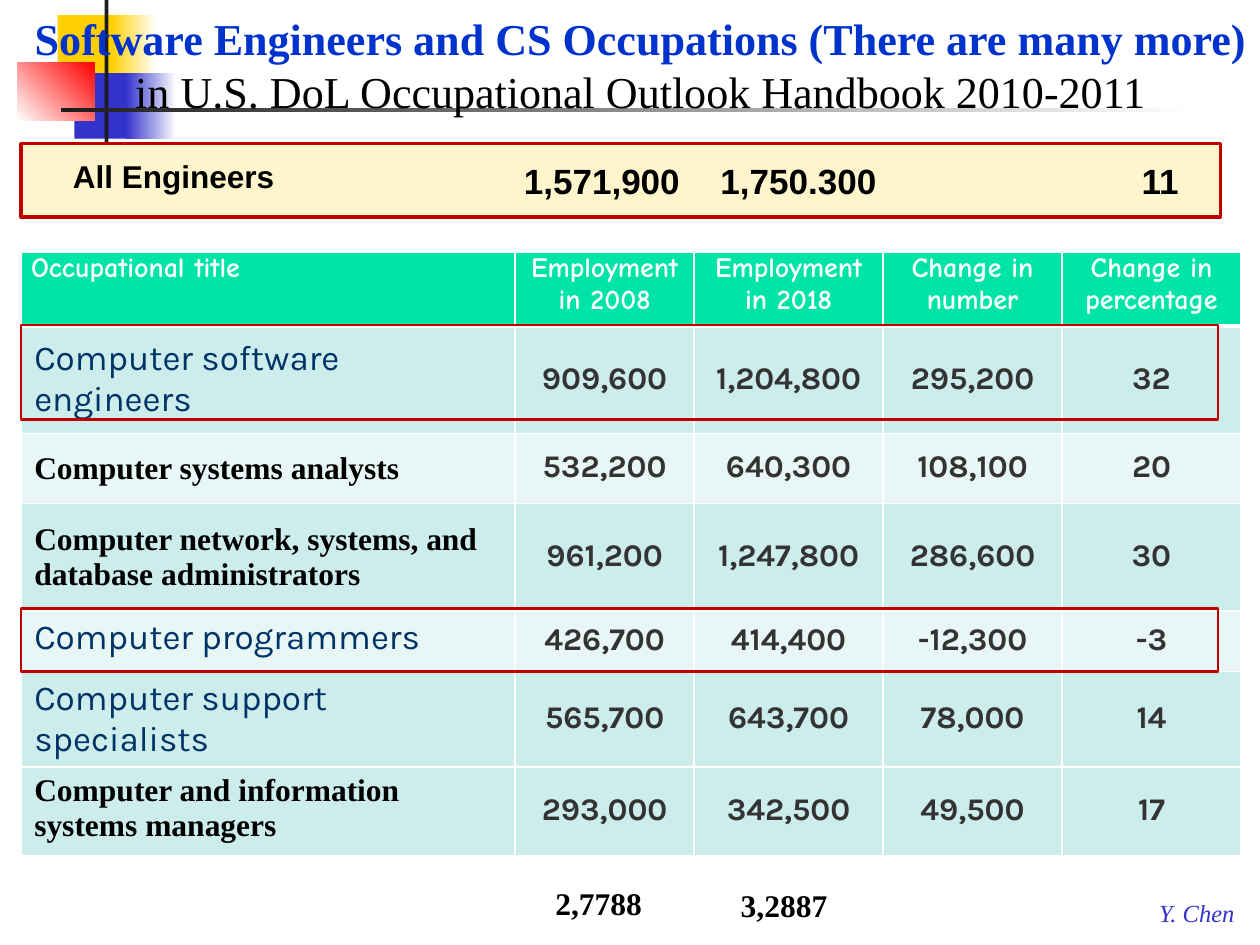
from copy import deepcopy

from lxml import etree
from pptx import Presentation
from pptx.dml.color import RGBColor
from pptx.enum.shapes import MSO_SHAPE
from pptx.enum.text import MSO_ANCHOR, PP_ALIGN
from pptx.oxml.ns import qn
from pptx.util import Pt

RECTANGLE = MSO_SHAPE.RECTANGLE
TOP, MIDDLE, BOTTOM = MSO_ANCHOR.TOP, MSO_ANCHOR.MIDDLE, MSO_ANCHOR.BOTTOM
LEFT, CENTER = PP_ALIGN.LEFT, PP_ALIGN.CENTER

SERIF, SANS, KARLA, COMIC = "Times New Roman", "Arial", "Karla", "Comic Neue"
YELLOW, BLUE, RED, DARK = "FFCF01", "3333CC", "FF0000", "1C1C1C"
WHITE, BLACK, FRAME_RED = "FFFFFF", "000000", "C00000"
HEADER_GREEN, BAND_DARK, BAND_LIGHT = "00E4A8", "CDECEC", "E8F6F6"

SERIF_TITLE = (SERIF, 18, BLACK, True)
KARLA_TITLE = (KARLA, 20, "003366", False)
NUMBER = (KARLA, 18, "333333", True)
HEADER = (COMIC, 16, WHITE, True)

COLUMN_WIDTHS = [282, 102.25, 108, 102.25, 102.25]
HEADINGS = ["Occupational title", "Employment in 2008", "Employment in 2018",
            "Change in number", "Change in percentage"]
HEADING_HEIGHT = 42.4
OCCUPATIONS = [
    (61.2, KARLA_TITLE, MIDDLE,
     ["Computer software engineers", "909,600", "1,204,800", "295,200", "32"]),
    (40.3, SERIF_TITLE, MIDDLE,
     ["Computer systems analysts", "532,200", "640,300", "108,100", "20"]),
    (61.2, SERIF_TITLE, MIDDLE,
     ["Computer network, systems, and database administrators",
      "961,200", "1,247,800", "286,600", "30"]),
    (34.6, KARLA_TITLE, TOP,
     ["Computer programmers", "426,700", "414,400", "-12,300", "-3"]),
    (54.7, KARLA_TITLE, MIDDLE,
     ["Computer support specialists", "565,700", "643,700", "78,000", "14"]),
    (50.4, SERIF_TITLE, TOP,
     ["Computer and information systems managers",
      "293,000", "342,500", "49,500", "17"]),
]


def color(value):
    """Turn a hex string into a colour."""
    return RGBColor.from_string(value)


def add_run(paragraph, text, style, italic=False):
    """Append a run in the given (font, size, colour, bold) style."""
    name, size, value, bold = style
    run = paragraph.add_run()
    run.text = text
    run.font.name, run.font.size = name, Pt(size)
    run.font.bold, run.font.italic = bold, italic
    run.font.color.rgb = color(value)
    return run


def add_rectangle(slide, box, fill=None, fade_to=None, angle=0, line_width=None):
    """Add a rectangle with a plain, fading or empty fill and an optional frame."""
    shape = slide.shapes.add_shape(RECTANGLE, *map(Pt, box))
    shape.shadow.inherit = False
    if fade_to:
        shape.fill.gradient()
        shape.fill.gradient_angle = angle
        for stop, value in zip(shape.fill.gradient_stops, (fill, fade_to)):
            stop.color.rgb = color(value)
    elif fill:
        shape.fill.solid()
        shape.fill.fore_color.rgb = color(fill)
    else:
        shape.fill.background()
    if line_width:
        shape.line.color.rgb = color(FRAME_RED)
        shape.line.width = Pt(line_width)
    else:
        shape.line.fill.background()


def add_text(slide, box, text, style, italic=False, wrap=True, tabs=()):
    """Add a one-line text box with optional left tab stops."""
    frame = slide.shapes.add_textbox(*map(Pt, box)).text_frame
    frame.word_wrap = wrap
    paragraph = frame.paragraphs[0]
    add_run(paragraph, text, style, italic)
    if tabs:
        properties = paragraph._p.get_or_add_pPr()
        tab_list = etree.SubElement(properties, qn("a:tabLst"))
        for position in tabs:
            etree.SubElement(tab_list, qn("a:tab"), pos=str(Pt(position)), algn="l")


def add_decoration(slide):
    """Draw the coloured blocks and the crossing rules behind the title."""
    add_rectangle(slide, (33, 8.6, 34.5, 37.4), YELLOW)
    add_rectangle(slide, (63.4, 8.6, 26, 37.4), YELLOW, WHITE)
    add_rectangle(slide, (42.5, 41.8, 33, 37.4), BLUE)
    add_rectangle(slide, (72, 41.8, 28.8, 37.4), BLUE, WHITE)
    add_rectangle(slide, (10, 36, 44, 33), WHITE, RED, angle=45)
    add_rectangle(slide, (59.8, 0, 2.2, 82.8), DARK)
    add_rectangle(slide, (34.6, 62, 648, 2.2), DARK, WHITE)


def format_title(slide):
    """Place the two-line title in front of the decoration."""
    title = slide.shapes.title
    slide.shapes.element.append(title.element)
    title.left, title.top, title.width, title.height = map(Pt, (12.2, 10.8, 707.8, 59.8))
    frame = title.text_frame
    frame.word_wrap = True
    frame.vertical_anchor = BOTTOM
    frame.margin_left = frame.margin_right = Pt(0)
    paragraph = frame.paragraphs[0]
    paragraph.alignment = CENTER
    run = add_run(paragraph, "Software Engineers and CS Occupations (There are many more)",
                  (SERIF, 25.2, "0033CC", True))
    line_break = etree.SubElement(paragraph._p, qn("a:br"))
    line_break.append(deepcopy(run._r.rPr))
    add_run(paragraph, "in U.S. DoL Occupational Outlook Handbook 2010-2011",
            (SERIF, 25.2, BLACK, False))


def set_borders(cell, top, bottom):
    """Give a cell white borders with the given top and bottom widths."""
    properties = cell._tc.get_or_add_tcPr()
    for side, width in (("L", 1), ("R", 1), ("T", top), ("B", bottom)):
        line = etree.SubElement(properties, qn(f"a:ln{side}"), w=str(Pt(width)))
        fill = etree.SubElement(line, qn("a:solidFill"))
        etree.SubElement(fill, qn("a:srgbClr"), val=WHITE)


def fill_cell(cell, text, style, fill, margins, alignment, anchor, borders):
    """Write and format one table cell."""
    set_borders(cell, *borders)
    cell.fill.solid()
    cell.fill.fore_color.rgb = color(fill)
    cell.margin_left, cell.margin_top, cell.margin_right, cell.margin_bottom = map(Pt, margins)
    cell.vertical_anchor = anchor
    paragraph = cell.text_frame.paragraphs[0]
    paragraph.alignment = alignment
    add_run(paragraph, text, style)


def add_occupation_table(slide):
    """Add the employment table."""
    heights = [HEADING_HEIGHT] + [occupation[0] for occupation in OCCUPATIONS]
    table = slide.shapes.add_table(
        len(heights), len(COLUMN_WIDTHS), Pt(12.4), Pt(144),
        Pt(sum(COLUMN_WIDTHS)), Pt(sum(heights))).table
    for column, width in zip(table.columns, COLUMN_WIDTHS):
        column.width = Pt(width)
    for row, height in zip(table.rows, heights):
        row.height = Pt(height)
    for index, heading in enumerate(HEADINGS):
        fill_cell(table.cell(0, index), heading, HEADER, HEADER_GREEN, (5.4, 0, 5.4, 0),
                  CENTER if index else LEFT, TOP, (1, 3))
    for number, (_, style, anchor, values) in enumerate(OCCUPATIONS, 1):
        fill = BAND_DARK if number % 2 or number == len(OCCUPATIONS) else BAND_LIGHT
        borders = (3 if number == 1 else 1, 1)
        title, *figures = values
        fill_cell(table.cell(number, 0), title, style, fill, (7.2, 3.6, 7.2, 3.6),
                  LEFT, anchor, borders)
        for index, figure in enumerate(figures, 1):
            fill_cell(table.cell(number, index), figure, NUMBER, fill,
                      (1.2, 0, 1.2, 1.2), CENTER, MIDDLE, borders)


def main():
    """Build the slide and save it."""
    presentation = Presentation()
    presentation.slide_width, presentation.slide_height = Pt(720), Pt(540)
    slide = presentation.slides.add_slide(presentation.slide_layouts[5])
    add_decoration(slide)
    add_text(slide, (655.2, 509.8, 59, 23.8), "Y. Chen", (SERIF, 14, BLUE, False),
             italic=True, wrap=False)
    format_title(slide)
    add_occupation_table(slide)
    add_rectangle(slide, (12, 82.1, 685.4, 41.8), "FFF5CC", line_width=2)
    add_rectangle(slide, (12, 185.8, 684, 54), line_width=1.5)
    add_text(slide, (34.6, 86.4, 221.8, 28.8), "All Engineers", (SANS, 18, BLACK, True))
    add_text(slide, (292.3, 87.8, 403.9, 31.7), "1,571,900\t1,750.300\t11",
             (SANS, 20, BLACK, True), tabs=(112.3, 353))
    add_text(slide, (310.3, 501.8, 69.8, 28.8), "2,7788", SERIF_TITLE)
    add_text(slide, (416.2, 502.6, 69.8, 28.8), "3,2887", SERIF_TITLE)
    add_rectangle(slide, (12, 347.8, 684, 36), line_width=1.5)
    presentation.save("out.pptx")


if __name__ == "__main__":
    main()
